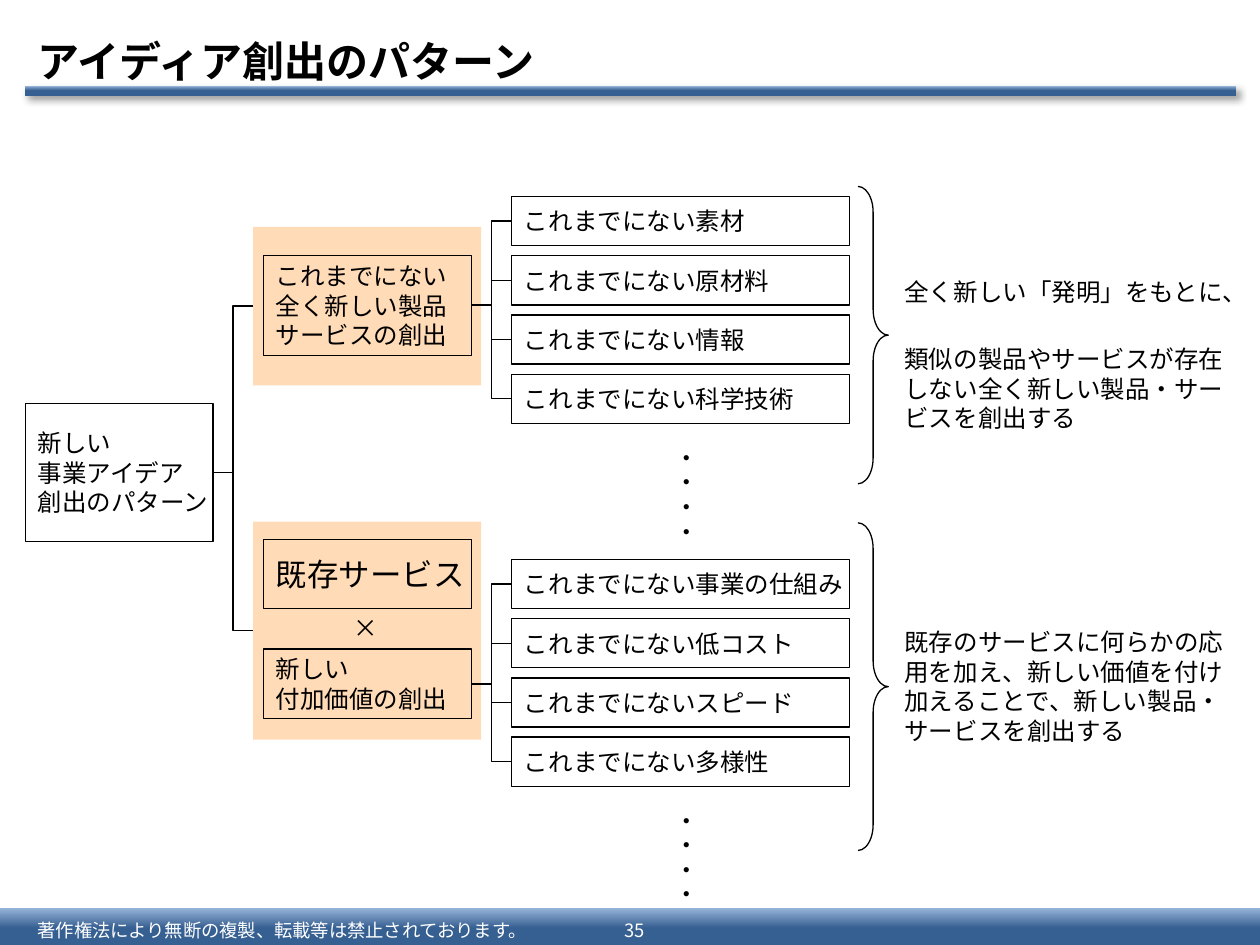
from lxml import etree
from pptx import Presentation
from pptx.dml.color import RGBColor
from pptx.enum.shapes import MSO_CONNECTOR, MSO_SHAPE
from pptx.enum.text import MSO_ANCHOR, MSO_AUTO_SIZE, PP_ALIGN
from pptx.oxml import parse_xml
from pptx.oxml.ns import nsdecls, qn
from pptx.util import Inches, Pt

BLACK = RGBColor(0x00, 0x00, 0x00)
WHITE = RGBColor(0xFF, 0xFF, 0xFF)
PEACH = RGBColor(0xFF, 0xCC, 0x99)
NAVY = RGBColor(0x37, 0x60, 0x92)
SKY = RGBColor(0x95, 0xB3, 0xD7)
GOTHIC = "Noto Sans CJK JP"
LATIN = "Calibri"

BOX_W, BOX_X = 1.65, 2.09       # framed boxes in the middle column
LEAF_X, LEAF_W, LEAF_H, LEAF_STEP = 4.06, 2.68, 0.39, 0.47


def box_in(left, top, width, height):
    return [Inches(v) for v in (left, top, width, height)]


def write(tf, text, size, font=GOTHIC, color=BLACK, bold=False,
          align=PP_ALIGN.LEFT, anchor=MSO_ANCHOR.TOP, wrap=True):
    tf.text = text
    tf.word_wrap = wrap
    tf.vertical_anchor = anchor
    for p in tf.paragraphs:
        p.alignment = align
        for r in p.runs:
            r.font.size, r.font.bold, r.font.name = Pt(size), bold, font
            r.font.color.rgb = color
            ea = etree.SubElement(r.font._element, qn("a:ea"))
            ea.set("typeface", GOTHIC)


def add_text(s, box, text, size=14, **style):
    tf = s.shapes.add_textbox(*box_in(*box)).text_frame
    write(tf, text, size, **style)
    tf.auto_size = MSO_AUTO_SIZE.SHAPE_TO_FIT_TEXT
    return tf


def add_frame(s, box, text, size=14):
    sp = s.shapes.add_shape(MSO_SHAPE.RECTANGLE, *box_in(*box))
    sp.shadow.inherit = False
    sp.fill.background()
    sp.line.color.rgb, sp.line.width = BLACK, Pt(0.75)
    write(sp.text_frame, text, size, font=LATIN,
          anchor=MSO_ANCHOR.MIDDLE, wrap=False)


def add_panel(s, box):
    sp = s.shapes.add_shape(MSO_SHAPE.RECTANGLE, *box_in(*box))
    sp.shadow.inherit = False
    sp.line.fill.background()
    sp.fill.solid()
    sp.fill.fore_color.rgb = PEACH
    color = sp._element.spPr.find(".//" + qn("a:srgbClr"))
    etree.SubElement(color, qn("a:alpha")).set("val", "70000")


def add_elbow(s, x1, y1, x2, y2):
    c = s.shapes.add_connector(MSO_CONNECTOR.ELBOW, *box_in(x1, y1, x2, y2))
    c.line.color.rgb, c.line.width = BLACK, Pt(0.75)
    etree.SubElement(c._element.spPr, qn("a:effectLst"))


def add_bar(s, box, shadow=False):
    sp = s.shapes.add_shape(MSO_SHAPE.RECTANGLE, *box_in(*box))
    sp.shadow.inherit = False
    sp.line.fill.background()
    stops = "".join(f'<a:gs pos="{pos}"><a:srgbClr val="{color}"/></a:gs>'
                    for pos, color in ((0, NAVY), (50000, NAVY), (100000, SKY)))
    spPr = sp._element.spPr
    spPr.find(qn("a:prstGeom")).addnext(parse_xml(
        f'<a:gradFill {nsdecls("a")} rotWithShape="1"><a:gsLst>{stops}</a:gsLst>'
        '<a:lin ang="16200000" scaled="0"/></a:gradFill>'))
    if shadow:
        spPr.find(qn("a:effectLst")).append(parse_xml(
            f'<a:outerShdw {nsdecls("a")} blurRad="{Pt(4)}" dist="{Pt(3)}" '
            'dir="2700000" algn="tl" rotWithShape="0"><a:srgbClr val="000000">'
            '<a:alpha val="40000"/></a:srgbClr></a:outerShdw>'))


def add_header(s, left, top, width, height):
    add_bar(s, (left, top + 0.47, 9.61, 0.08), shadow=True)
    title = s.shapes.title
    title.left, title.top, title.width, title.height = box_in(left, top, width, height)
    write(title.text_frame, "アイディア創出のパターン", 24, bold=True,
          anchor=MSO_ANCHOR.MIDDLE)


def add_footer(s, left, top, width, height):
    add_bar(s, (left, top, width, height))
    for x, w, text, align in (
            (0.2, 4.25, "著作権法により無断の複製、転載等は禁止されております。", PP_ALIGN.LEFT),
            (4.76, 0.55, "35", PP_ALIGN.CENTER)):
        tf = add_text(s, (left + x, top + 0.04, w, 0.26), text, 10.5,
                      color=WHITE, align=align, anchor=MSO_ANCHOR.MIDDLE)
        tf.margin_top = tf.margin_bottom = Inches(0.04)


def add_leaves(s, left, top, source_y, labels):
    """Column of boxes joined to the framed box on its left, then dots."""
    for i, label in enumerate(labels):
        y = top + i * LEAF_STEP
        add_frame(s, (left, y, LEAF_W, LEAF_H), label)
        add_elbow(s, BOX_X + BOX_W, source_y, left, y + LEAF_H / 2)
    dots_y = top + len(labels) * LEAF_STEP
    tf = add_text(s, (left + 1.12, dots_y, 0.43, 0.49), "・・・・", wrap=False)
    tf._txBody.bodyPr.set("vert", "eaVert")


def add_summary(s, left, top, height, text_top, text):
    """Right brace with the explanation beside it."""
    sp = s.shapes.add_shape(MSO_SHAPE.RIGHT_BRACE, *box_in(left, top, 0.24, height))
    sp.shadow.inherit = False
    sp.fill.background()
    sp.line.color.rgb, sp.line.width = BLACK, Pt(0.75)
    sp.adjustments[0] = 0.85
    add_text(s, (left + 0.27, text_top, 2.8, 1.03), text)


def add_tree(s):
    # Tinted panels and the root
    panels = [(2.01, 1.8, 1.81, 1.26), (2.01, 4.14, 1.81, 1.73)]
    add_frame(s, (0.2, 3.2, 1.49, 1.1), "新しい\v事業アイデア\v創出のパターン")
    for panel in panels:
        add_panel(s, panel)
        add_elbow(s, 1.69, 3.75, panel[0], panel[1] + panel[3] / 2)

    # Middle column
    add_frame(s, (BOX_X, 2.03, BOX_W, 0.79),
              "これまでにない\v全く新しい製品\vサービスの創出")
    add_frame(s, (BOX_X, 4.28, BOX_W, 0.55), "既存サービス", 18)
    add_text(s, (2.71, 4.82, 0.4, 0.33), "×", wrap=False)
    add_frame(s, (BOX_X, 5.15, BOX_W, 0.55), "新しい\v付加価値の創出")

    # Leaves
    add_leaves(s, LEAF_X, 1.56, 2.42, [
        "これまでにない素材", "これまでにない原材料",
        "これまでにない情報", "これまでにない科学技術"])
    add_leaves(s, LEAF_X, 4.44, 5.43, [
        "これまでにない事業の仕組み", "これまでにない低コスト",
        "これまでにないスピード", "これまでにない多様性"])

    # Explanations
    add_summary(s, 6.81, 1.48, 2.36, 2.15,
                "全く新しい「発明」をもとに、\v"
                "類似の製品やサービスが存在しない全く新しい製品・サービスを創出する")
    add_summary(s, 6.81, 4.15, 2.6, 4.93,
                "既存のサービスに何らかの応用を加え、新しい価値を付け加えることで、"
                "新しい製品・サービスを創出する")


def main():
    prs = Presentation()
    prs.slide_width, prs.slide_height = Inches(10), Inches(7.5)
    s = prs.slides.add_slide(prs.slide_layouts[5])
    add_footer(s, 0, 7.21, 10, 0.31)
    add_header(s, 0.2, 0.21, 9.8, 0.54)
    add_tree(s)
    prs.save("out.pptx")


if __name__ == "__main__":
    main()
